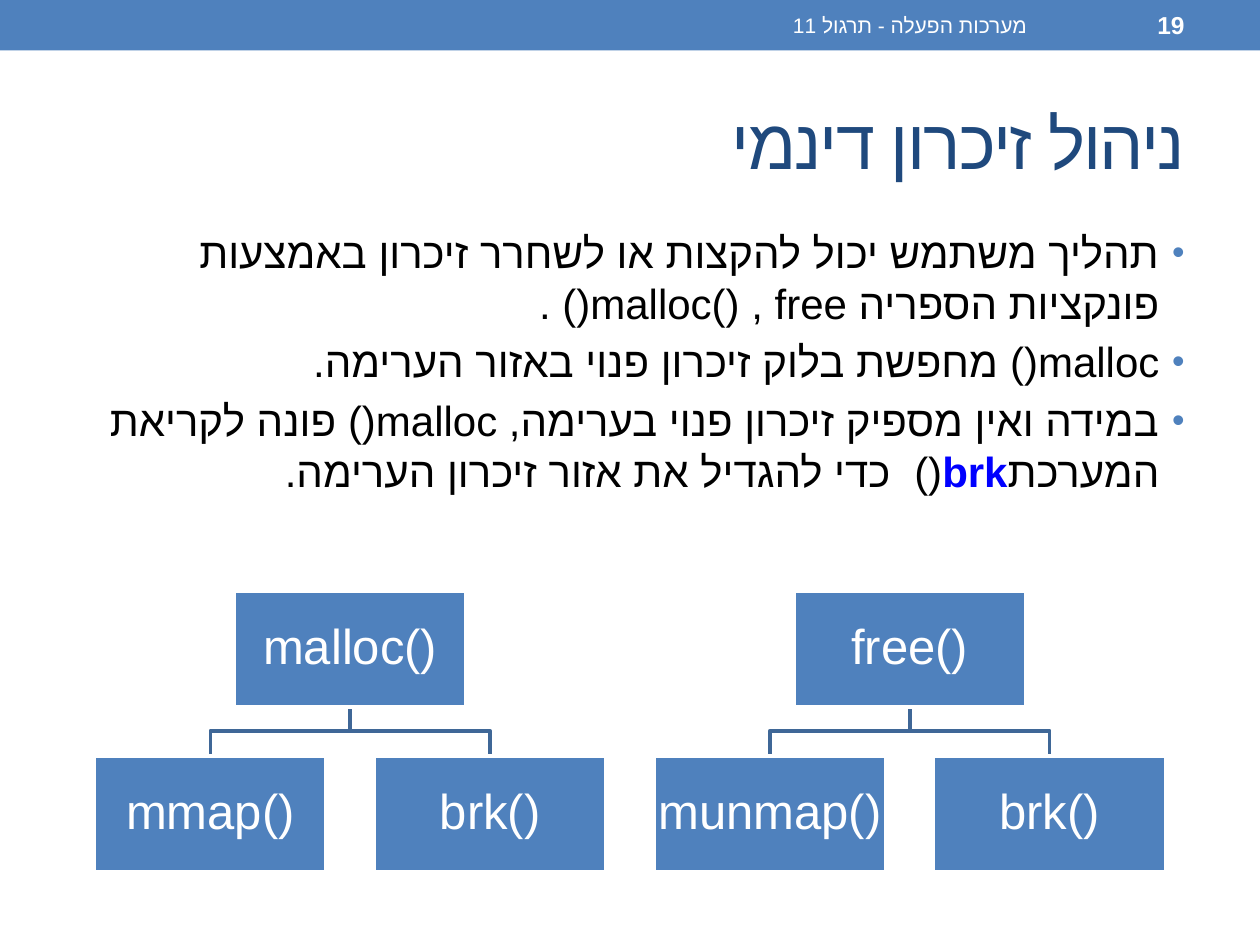
from pptx import Presentation
from pptx.dml.color import RGBColor
from pptx.enum.shapes import MSO_SHAPE
from pptx.enum.text import MSO_ANCHOR, PP_ALIGN
from pptx.oxml.ns import qn
from pptx.util import Inches, Pt
from lxml.etree import SubElement

COLORS = {
    "blue": "4F81BD", "navy": "1F497D", "branch": "3F6797",
    "link": "0000FF", "black": "000000", "white": "FFFFFF",
}
FONT = "Arial"

TITLE = "ניהול זיכרון דינמי"
PAGE_NUMBER = "19"
FOOTER = "מערכות הפעלה - תרגול 11"
HIGHLIGHT = {"color": "link", "bold": True}
BULLETS = [
    [("תהליך משתמש יכול להקצות או לשחרר זיכרון באמצעות פונקציות הספריה malloc() , free() .", {})],
    [("malloc() מחפשת בלוק זיכרון פנוי באזור הערימה.", {})],
    [("במידה ואין מספיק זיכרון פנוי בערימה, malloc() פונה לקריאת המערכת", {}),
     ("brk", HIGHLIGHT),
     ("()  כדי להגדיל את אזור זיכרון הערימה.", {})],
]
TREES = [("malloc()", ["mmap()", "brk()"]), ("free()", ["munmap()", "brk()"])]

BOX_WIDTH, BOX_HEIGHT = 1.84, 0.92
FIRST_CENTER, COLUMN_STEP = 1.67, 2.22
PARENT_TOP, CHILD_TOP, BRANCH_Y = 4.69, 6, 5.8


def rgb(name):
    return RGBColor.from_string(COLORS[name])


def add_run(paragraph, text, size=24, color="black", bold=False, spacing=None):
    run = paragraph.add_run()
    run.text = text
    font = run.font
    font.size, font.bold, font.name = Pt(size), bold, FONT
    font.color.rgb = rgb(color)
    properties = run._r.get_or_add_rPr()
    SubElement(properties, qn("a:cs"), typeface=FONT)
    if spacing is not None:
        properties.set("spc", str(spacing * 100))


def set_right_to_left(paragraph):
    paragraph.alignment = PP_ALIGN.RIGHT
    paragraph._p.get_or_add_pPr().set("rtl", "1")


def add_bullet(paragraph):
    properties = paragraph._p.get_or_add_pPr()
    properties.set("marL", str(Inches(0.2)))
    properties.set("indent", str(Inches(-0.2)))
    color = SubElement(properties, qn("a:buClr"))
    SubElement(color, qn("a:srgbClr"), val=COLORS["blue"])
    SubElement(properties, qn("a:buSzPct"), val="85000")
    SubElement(properties, qn("a:buFont"), typeface=FONT)
    SubElement(properties, qn("a:buChar"), char="•")


def add_text_frame(slide, left, top, width, height, anchor=MSO_ANCHOR.MIDDLE):
    box = slide.shapes.add_textbox(*map(Inches, (left, top, width, height)))
    frame = box.text_frame
    frame.word_wrap = True
    frame.vertical_anchor = anchor
    return frame


def add_line_of_text(slide, place, text, **text_format):
    paragraph = add_text_frame(slide, *place).paragraphs[0]
    set_right_to_left(paragraph)
    add_run(paragraph, text, **text_format)


def add_bullets(slide):
    frame = add_text_frame(slide, 0.5, 1.75, 9, 5.33, anchor=MSO_ANCHOR.TOP)
    for index, runs in enumerate(BULLETS):
        paragraph = frame.add_paragraph() if index else frame.paragraphs[0]
        set_right_to_left(paragraph)
        paragraph.space_before = Pt(4.8)
        add_bullet(paragraph)
        for text, text_format in runs:
            add_run(paragraph, text, **text_format)


def add_rectangle(slide, left, top, width, height):
    shape = slide.shapes.add_shape(
        MSO_SHAPE.RECTANGLE, *map(Inches, (left, top, width, height)))
    shape.shadow.inherit = False
    shape.fill.solid()
    shape.fill.fore_color.rgb = rgb("blue")
    shape.line.fill.background()
    return shape


def add_function_box(slide, center, top, text):
    shape = add_rectangle(slide, center - BOX_WIDTH / 2, top, BOX_WIDTH, BOX_HEIGHT)
    shape.line.color.rgb = rgb("white")
    shape.line.width = Pt(2.08)
    frame = shape.text_frame
    frame.word_wrap = True
    frame.vertical_anchor = MSO_ANCHOR.MIDDLE
    frame.margin_left = frame.margin_right = Inches(0.02)
    frame.margin_top = frame.margin_bottom = Inches(0.02)
    paragraph = frame.paragraphs[0]
    paragraph.alignment = PP_ALIGN.CENTER
    paragraph.line_spacing = 0.9
    add_run(paragraph, text, size=28, color="white")


def add_branch(slide, parent_center, child_center):
    parent_bottom = PARENT_TOP + BOX_HEIGHT
    points = [(parent_center, BRANCH_Y), (child_center, BRANCH_Y), (child_center, CHILD_TOP)]
    builder = slide.shapes.build_freeform(Inches(parent_center), Inches(parent_bottom))
    builder.add_line_segments([(Inches(x), Inches(y)) for x, y in points], close=False)
    branch = builder.convert_to_shape()
    branch.shadow.inherit = False
    branch.fill.background()
    branch.line.color.rgb = rgb("branch")
    branch.line.width = Pt(2.08)


def add_trees(slide):
    boxes = []
    column = 0
    for parent, children in TREES:
        centers = [FIRST_CENTER + COLUMN_STEP * (column + i) for i in range(len(children))]
        column += len(children)
        parent_center = sum(centers) / len(centers)
        boxes.append((parent_center, PARENT_TOP, parent))
        for center, child in zip(centers, children):
            add_branch(slide, parent_center, center)
            boxes.append((center, CHILD_TOP, child))
    for box in boxes:
        add_function_box(slide, *box)


def main():
    presentation = Presentation()
    presentation.slide_width, presentation.slide_height = Inches(10), Inches(7.5)
    slide = presentation.slides.add_slide(presentation.slide_layouts[6])

    add_rectangle(slide, 0, 0, 10, 0.4)
    add_line_of_text(slide, (0.5, 0.58, 9, 1.08), TITLE, size=40, color="navy", spacing=-1)
    add_bullets(slide)
    add_line_of_text(slide, (8.33, 0.02, 1.17, 0.36), PAGE_NUMBER,
                     size=14, color="white", bold=True)
    add_line_of_text(slide, (3.75, 0.02, 4.5, 0.36), FOOTER, size=12, color="white")
    add_trees(slide)

    presentation.save("out.pptx")


if __name__ == "__main__":
    main()
